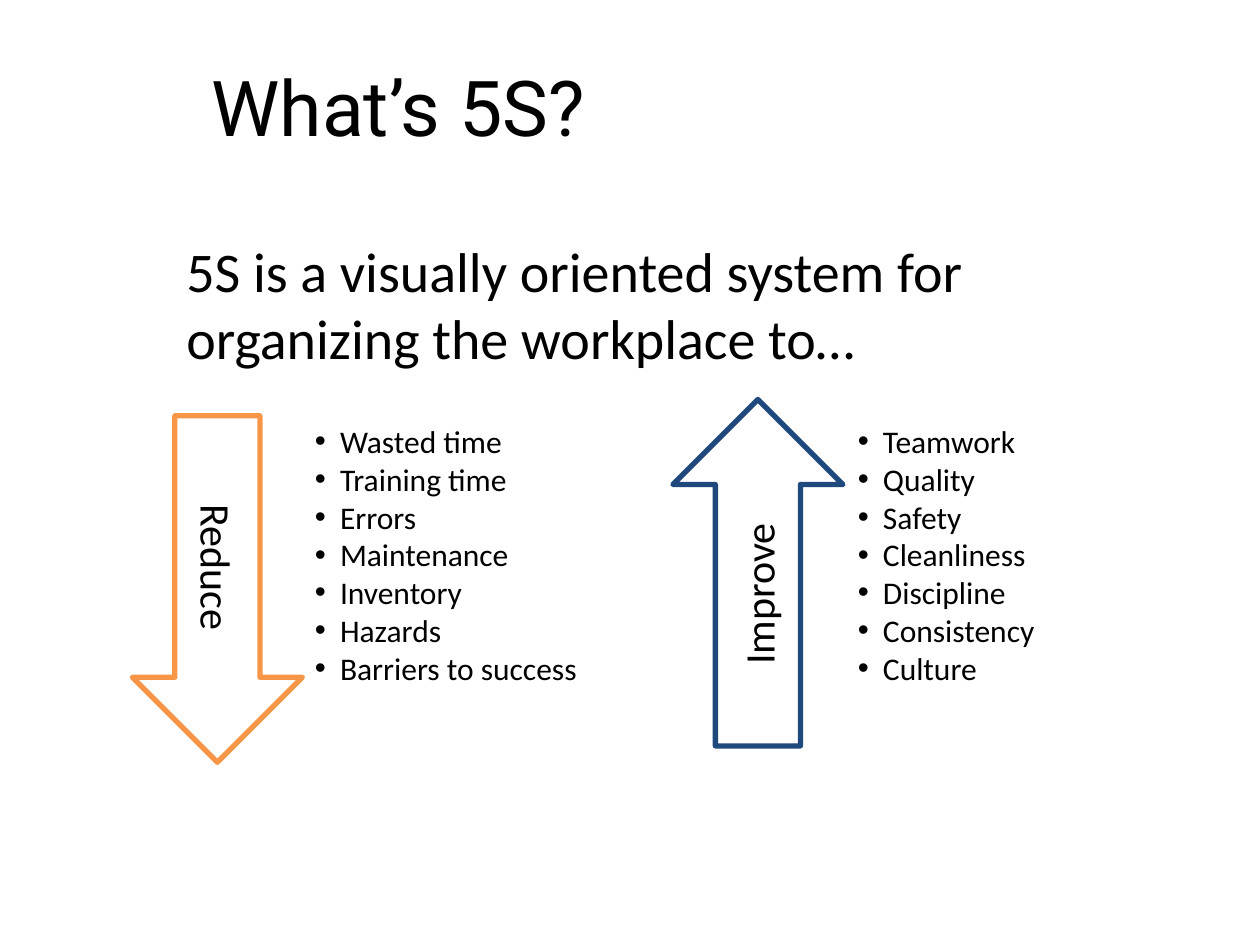
import pptx
import pptx.dml.color
import pptx.enum.shapes
import pptx.enum.text
import pptx.oxml.ns
import pptx.util
from lxml import etree

Inches = pptx.util.Inches
Pt = pptx.util.Pt
BLACK = pptx.dml.color.RGBColor(0x00, 0x00, 0x00)
ORANGE = pptx.dml.color.RGBColor(0xF7, 0x96, 0x46)
NAVY = pptx.dml.color.RGBColor(0x1F, 0x49, 0x7D)


class SlideBuilder:
    """Adds styled text, bullet lists and arrows to one slide."""

    def __init__(self, slide, font="Calibri"):
        self.slide = slide
        self.font = font

    def style(self, paragraph, size, font=None):
        paragraph.font.name = font or self.font
        paragraph.font.size = Pt(size)
        paragraph.font.color.rgb = BLACK

    def text(self, left, top, width, height, lines, size, font=None):
        box = self.slide.shapes.add_textbox(
            Inches(left), Inches(top), Inches(width), Inches(height))
        frame = box.text_frame
        frame.word_wrap = True
        frame.text = "\n".join(lines)
        for paragraph in frame.paragraphs:
            self.style(paragraph, size, font)
        return frame

    def indent(self, paragraph, margin, first_line=0):
        properties = paragraph._p.get_or_add_pPr()
        properties.set("marL", str(Inches(margin)))
        properties.set("indent", str(Inches(first_line)))
        return properties

    def bullets(self, left, top, width, height, items):
        frame = self.text(left, top, width, height, items, 18)
        frame.auto_size = pptx.enum.text.MSO_AUTO_SIZE.SHAPE_TO_FIT_TEXT
        for paragraph in frame.paragraphs:
            properties = self.indent(paragraph, 0.2, -0.2)
            font = etree.Element(pptx.oxml.ns.qn("a:buFont"), typeface="Arial")
            bullet = etree.Element(pptx.oxml.ns.qn("a:buChar"), char="•")
            position = 0
            for element in (font, bullet):
                properties.insert(position, element)
                position += 1

    def arrow(self, left, top, rotation, color, label):
        shape = self.slide.shapes.add_shape(
            pptx.enum.shapes.MSO_SHAPE.RIGHT_ARROW,
            Inches(left), Inches(top), Inches(2.75), Inches(1.35))
        shape.rotation = rotation
        shape.shadow.inherit = False
        shape.fill.background()
        shape.line.color.rgb = color
        shape.line.width = Pt(3)
        frame = shape.text_frame
        frame.text = label
        frame.vertical_anchor = pptx.enum.text.MSO_ANCHOR.MIDDLE
        paragraph = frame.paragraphs[0]
        paragraph.alignment = pptx.enum.text.PP_ALIGN.CENTER
        self.style(paragraph, 24)


presentation = pptx.Presentation()
presentation.slide_width = Inches(10)
presentation.slide_height = Inches(7.5)
builder = SlideBuilder(presentation.slides.add_slide(presentation.slide_layouts[6]))

definition = builder.text(
    1, 1.83, 7.92, 1.17,
    ["5S is a visually oriented system for organizing the workplace to…"], 32)
builder.indent(definition.paragraphs[0], 0.38)
definition.paragraphs[0].space_before = Pt(6.4)

builder.bullets(2.4, 3.3, 2.92, 2.2, [
    "Wasted time", "Training time", "Errors", "Maintenance",
    "Inventory", "Hazards", "Barriers to success"])
builder.bullets(6.71, 3.3, 2, 2.2, [
    "Teamwork", "Quality", "Safety", "Cleanliness",
    "Discipline", "Consistency", "Culture"])

builder.arrow(0.35, 4, 90, ORANGE, "Reduce")
builder.arrow(4.64, 3.87, 270, NAVY, "Improve")
builder.text(1.58, 0.42, 8.33, 0.87, ["What’s 5S?"], 44, "Roboto")

presentation.save("out.pptx")
